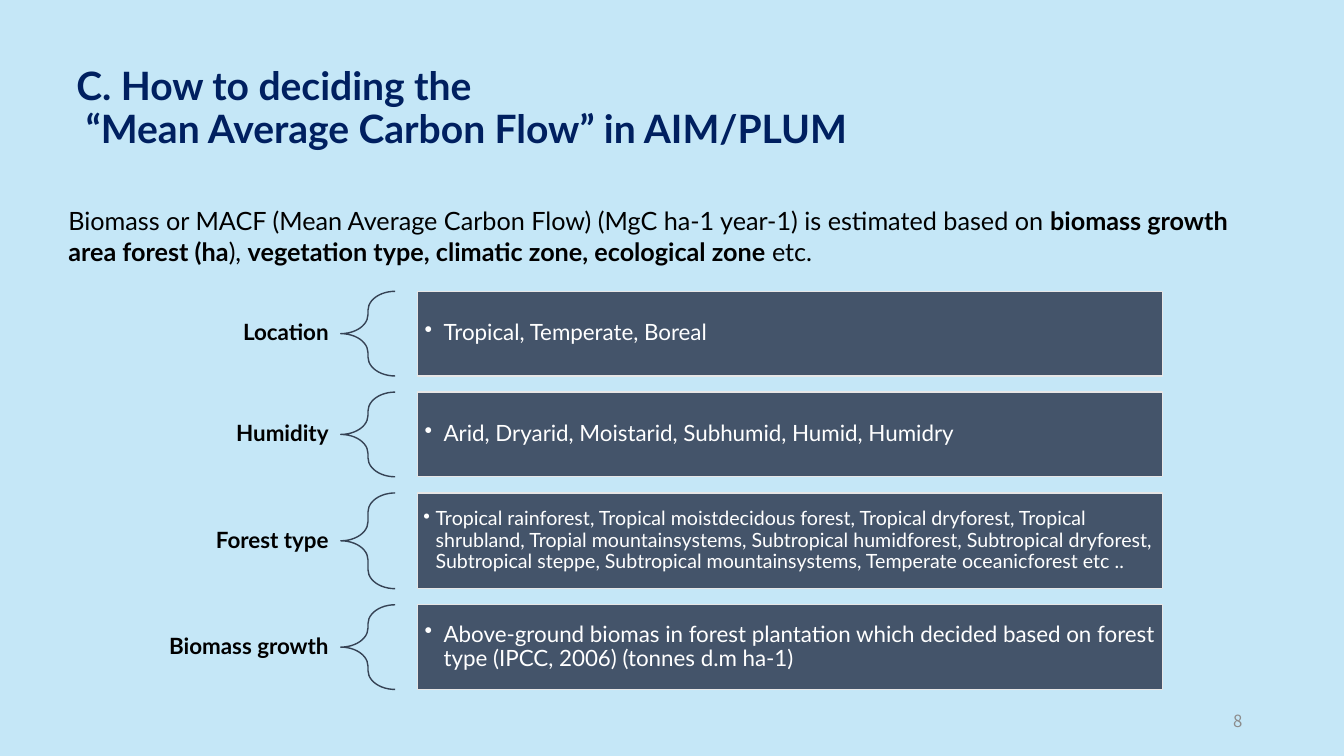
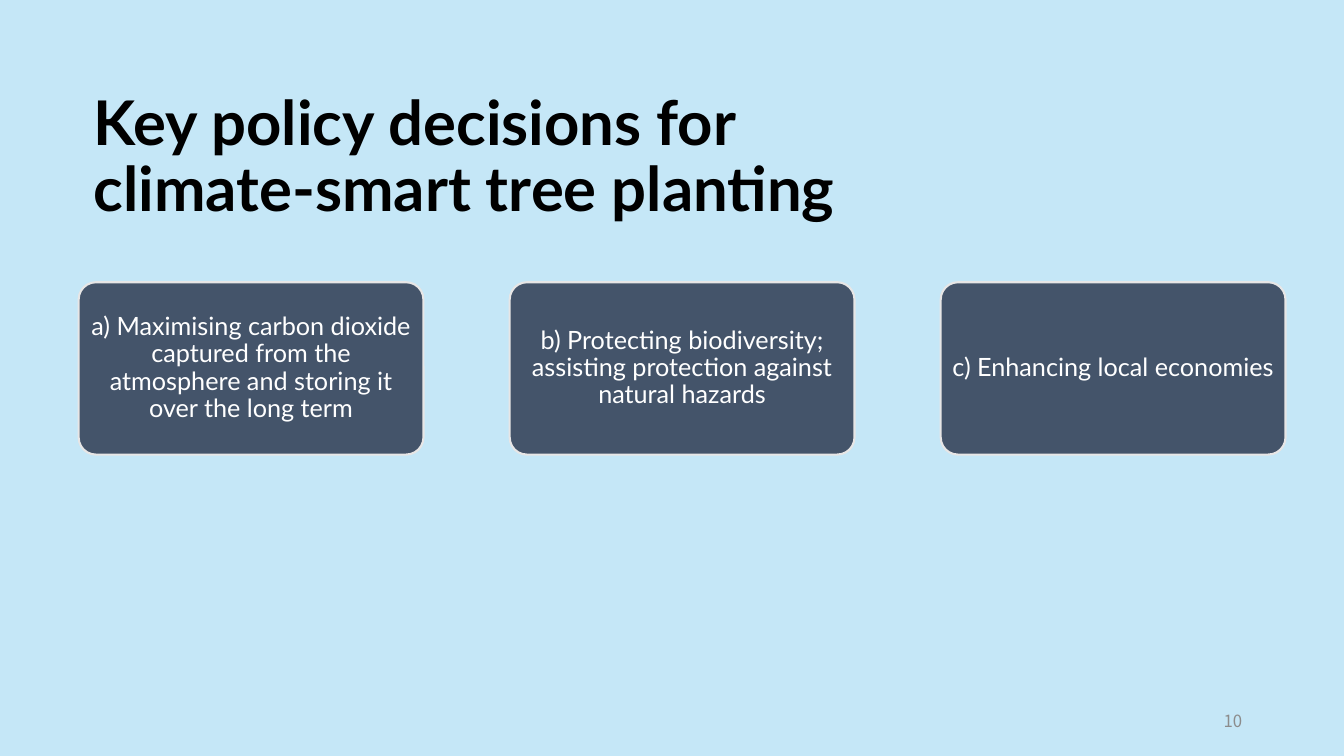
from pptx import Presentation
from pptx.dml.color import RGBColor
from pptx.enum.shapes import MSO_SHAPE as SHAPE
from pptx.enum.text import MSO_ANCHOR as ANCHOR, PP_ALIGN as ALIGN
from pptx.oxml.ns import qn
from pptx.util import Inches, Pt
from lxml.etree import SubElement

SKY = RGBColor(0xC5, 0xE7, 0xF7)
NAVY = RGBColor(0x00, 0x20, 0x60)
SLATE = RGBColor(0x44, 0x54, 0x6A)
BRACE = RGBColor(0x36, 0x43, 0x55)
PALE = RGBColor(0xE7, 0xE6, 0xE6)
GREY = RGBColor(0x8C, 0x8C, 0x8C)
WHITE = RGBColor(0xFF, 0xFF, 0xFF)
BLACK = RGBColor(0x00, 0x00, 0x00)

BODY_FONT = "Lato"
NUMBER_FONT = "Noto Sans CJK JP"

INTRO = [
    ("Biomass or MACF (Mean Average Carbon Flow) (MgC ha-1 year-1) is estimated based on ", False),
    ("biomass growth area forest (ha", True),
    ("), ", False),
    ("vegetation type, climatic zone, ecological zone", True),
    (" etc.", False),
]
FACTORS = [
    ("Location", "Tropical, Temperate, Boreal", 0.84, 16, 0.19, 0.07),
    ("Humidity", "Arid, Dryarid, Moistarid, Subhumid, Humid, Humidry", 0.84, 16, 0.19, 0.07),
    ("Forest type",
     "Tropical rainforest, Tropical moistdecidous forest, Tropical dryforest, "
     "Tropical shrubland, Tropial mountainsystems, Subtropical humidforest, "
     "Subtropical dryforest, Subtropical steppe, Subtropical mountainsystems, "
     "Temperate oceanicforest etc ..", 0.95, 14, 0.12, 0.06),
    ("Biomass growth",
     "Above-ground biomas in forest plantation which decided based on forest "
     "type (IPCC, 2006) (tonnes d.m ha-1)", 0.84, 16, 0.19, 0.07),
]
POLICIES = [
    "a) Maximising carbon dioxide captured from the atmosphere and storing it over the long term",
    "b) Protecting biodiversity; assisting protection against natural hazards",
    "c) Enhancing local economies",
]


def write(box, spans, size=18, color=BLACK, font=BODY_FONT, bold=False, align=ALIGN.LEFT,
          anchor=ANCHOR.MIDDLE, spacing=0.9, insets=(0.1, 0.05), bullet_indent=None):
    frame = box.text_frame
    frame.word_wrap = True
    frame.vertical_anchor = anchor
    frame.margin_left = frame.margin_right = Inches(insets[0])
    frame.margin_top = frame.margin_bottom = Inches(insets[1])
    para = frame.paragraphs[0]
    para.alignment = align
    para.line_spacing = spacing
    if bullet_indent:
        properties = para._p.get_or_add_pPr()
        properties.set("marL", str(Inches(bullet_indent)))
        properties.set("indent", str(-Inches(bullet_indent)))
        SubElement(properties, qn("a:buChar")).set("char", "•")
    if isinstance(spans, str):
        spans = [(spans, bold)]
    for text, is_bold in spans:
        for index, line in enumerate(text.split("\n")):
            if index:
                para.add_line_break()
            span = para.add_run()
            span.text = line
            span.font.name = font
            span.font.size = Pt(size)
            span.font.bold = is_bold
            span.font.color.rgb = color


def add_text(page, left, top, width, height, spans, **style):
    box = page.shapes.add_textbox(Inches(left), Inches(top), Inches(width), Inches(height))
    write(box, spans, **style)


def add_panel(page, kind, left, top, width, height, fill=SLATE, line=PALE, weight=1, adjust=None):
    panel = page.shapes.add_shape(kind, Inches(left), Inches(top), Inches(width), Inches(height))
    panel.shadow.inherit = False
    if fill is None:
        panel.fill.background()
    else:
        panel.fill.solid()
        panel.fill.fore_color.rgb = fill
    panel.line.color.rgb = line
    panel.line.width = Pt(weight)
    if adjust is not None:
        panel.adjustments[0] = adjust
    return panel


def add_page(deck, number):
    page = deck.slides.add_slide(deck.slide_layouts[6])
    page.background.fill.solid()
    page.background.fill.fore_color.rgb = SKY
    add_text(page, 9.42, 6.95, 3, 0.4, number, size=12, color=GREY, font=NUMBER_FONT,
             align=ALIGN.RIGHT, spacing=1)
    return page


def add_title(page, left, top, width, text, size, color):
    add_text(page, left, top, width, 1.45, text, size=size, color=color, bold=True)


def add_factor_rows(page, left, top, width, gap=0.16):
    label_width, brace_width, brace_gap = 2.72, 0.54, 0.22
    brace_left = left + label_width
    panel_left = brace_left + brace_width + brace_gap
    for label, detail, height, size, indent, inset in FACTORS:
        add_text(page, left, top, label_width, height, label, size=16, bold=True,
                 align=ALIGN.RIGHT, insets=(0.12, 0.04))
        add_panel(page, SHAPE.LEFT_BRACE, brace_left, top, brace_width, height,
                  fill=None, line=BRACE, adjust=0.35)
        panel = add_panel(page, SHAPE.RECTANGLE, panel_left, top, left + width - panel_left, height)
        write(panel, detail, size=size, color=WHITE, insets=(inset, inset), bullet_indent=indent)
        top += height + gap


def add_policy_cards(page, left, top, width):
    card_width = width / 3.5
    for index, policy in enumerate(POLICIES):
        card = add_panel(page, SHAPE.ROUNDED_RECTANGLE, left + index * card_width * 1.25, top,
                         card_width, card_width / 2, weight=1.5, adjust=0.1)
        write(card, policy, color=WHITE, align=ALIGN.CENTER, insets=(0.04, 0.03))


def build_carbon_flow(deck):
    page = add_page(deck, "8")
    add_title(page, 0.66, 0.36, 9.47,
              "C. How to deciding the\n “Mean Average Carbon Flow” in AIM/PLUM", 27.9, NAVY)
    add_text(page, 0.58, 1.99, 12.17, 0.71, INTRO, anchor=ANCHOR.TOP, spacing=1)
    add_factor_rows(page, 0.66, 2.89, 10.87)


def build_policy_decisions(deck):
    page = add_page(deck, "10")
    add_title(page, 0.83, 0.85, 8.88, "Key policy decisions for climate-smart tree planting", 44, BLACK)
    add_policy_cards(page, 0.78, 2.8, 11.97)


def main():
    deck = Presentation()
    deck.slide_width = Inches(13.33)
    deck.slide_height = Inches(7.5)
    build_carbon_flow(deck)
    build_policy_decisions(deck)
    deck.save("out.pptx")


if __name__ == "__main__":
    main()
